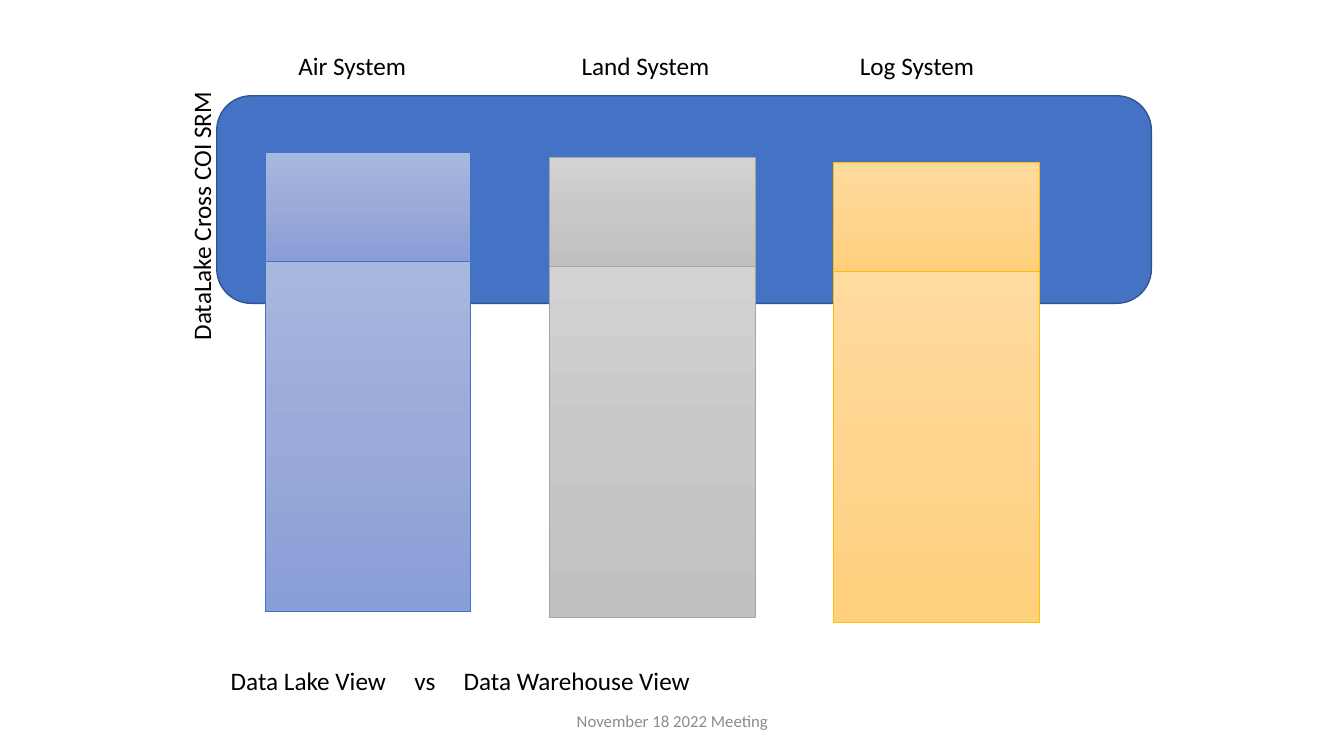
from copy import deepcopy

from lxml import etree
from pptx import Presentation
from pptx.dml.color import RGBColor
from pptx.enum.shapes import MSO_SHAPE
from pptx.enum.text import MSO_ANCHOR, MSO_AUTO_SIZE, PP_ALIGN
from pptx.oxml.ns import qn
from pptx.util import Inches, Pt

ROUNDED, RECTANGLE = MSO_SHAPE.ROUNDED_RECTANGLE, MSO_SHAPE.RECTANGLE
CENTER, MIDDLE, FIT = PP_ALIGN.CENTER, MSO_ANCHOR.MIDDLE, MSO_AUTO_SIZE.SHAPE_TO_FIT_TEXT

COLORS = {
    "lake": "4472C4", "lake_edge": "325491",
    "text": "000000", "footer": "8C8C8C",
    "air": "4472C4", "land": "A5A5A5", "log": "FFC000",
}
GRADIENTS = {
    "air": ("A8B7DF", "9AABD9", "889ED7"),
    "land": ("D2D2D2", "C8C8C8", "C0C0C0"),
    "log": ("FFDB9E", "FFD590", "FFD07C"),
}
# Key, caption, caption left and caption width
SYSTEMS = [
    ("air", "Air System", 2.86, 1.28),
    ("land", "Land System", 5.67, 1.48),
    ("log", "Log System", 8.43, 1.35),
]
BAR_WIDTH, BAR_HEIGHTS = 2.04, (1.08, 3.48)
STEP_X, STEP_Y = 2.82, 0.05


def add_block(shapes, kind, box, edge, edge_width):
    block = shapes.add_shape(kind, *map(Inches, box))
    block.shadow.inherit = False
    block.line.color.rgb = RGBColor.from_string(edge)
    block.line.width = Pt(edge_width)
    return block


def add_label(slide, text, box, size=18, color="text"):
    label = slide.shapes.add_textbox(*map(Inches, box))
    label.text_frame.word_wrap = False
    label.text_frame.auto_size = FIT
    run = label.text_frame.paragraphs[0].add_run()
    run.text = text
    font_format = {"name": "Calibri", "size": Pt(size)}
    for attribute, value in font_format.items():
        setattr(run.font, attribute, value)
    run.font.color.rgb = RGBColor.from_string(COLORS[color])
    return label


def fill_gradient(block, hues):
    block.fill.gradient()
    block.fill.gradient_angle = 270
    stop_list = block._element.spPr.find(".//" + qn("a:gsLst"))
    stop_list.insert(1, deepcopy(stop_list[0]))
    for i, (stop, hue) in enumerate(zip(block.fill.gradient_stops, hues)):
        stop.position = i / (len(hues) - 1)
        stop.color.rgb = RGBColor.from_string(hue)


def draw_lake(slide, box):
    lake = add_block(slide.shapes, ROUNDED, box, COLORS["lake_edge"], 1)
    lake.fill.solid()
    lake.fill.fore_color.rgb = RGBColor.from_string(COLORS["lake"])


def draw_system(slide, left, top, key):
    bars = slide.shapes.add_group_shape()
    for height in BAR_HEIGHTS:
        bar = add_block(bars.shapes, RECTANGLE, (left, top, BAR_WIDTH, height), COLORS[key], 0.5)
        fill_gradient(bar, GRADIENTS[key])
        top += height


def draw_comparison(slide, box, tab_positions):
    comparison = add_label(slide, "Data Lake View\tvs\tData Warehouse View", box)
    comparison.text_frame.word_wrap = True
    # Tab stops space the three parts
    properties = comparison.text_frame.paragraphs[0]._p.get_or_add_pPr()
    tabs = etree.SubElement(properties, qn("a:tabLst"))
    for position in tab_positions:
        etree.SubElement(tabs, qn("a:tab"), pos=str(Inches(position)), algn="l")


def draw_footer(slide, box):
    footer = add_label(slide, "November 18 2022 Meeting", box, 12, "footer")
    frame_format = {"word_wrap": True, "auto_size": MSO_AUTO_SIZE.NONE, "vertical_anchor": MIDDLE}
    for attribute, value in frame_format.items():
        setattr(footer.text_frame, attribute, value)
    footer.text_frame.paragraphs[0].alignment = CENTER


def main():
    deck = Presentation()
    deck.slide_width, deck.slide_height = Inches(13.33), Inches(7.5)
    slide = deck.slides.add_slide(deck.slide_layouts[6])

    # Data lake behind the systems
    draw_lake(slide, (2.15, 0.95, 9.27, 2.06))

    # Systems with captions
    for i, (key, caption, caption_left, caption_width) in enumerate(SYSTEMS):
        draw_system(slide, 2.63 + i * STEP_X, 1.51 + i * STEP_Y, key)
        add_label(slide, caption, (caption_left, 0.45, caption_width, 0.4))

    # Comparison, side caption and footer
    draw_comparison(slide, (2.19, 6.55, 4.82, 0.4), (1.82, 2.31))
    side_caption = add_label(slide, "DataLake Cross COI SRM", (0.65, 1.93, 2.69, 0.4))
    side_caption.rotation = 270
    draw_footer(slide, (4.42, 6.95, 4.5, 0.4))

    deck.save("out.pptx")


if __name__ == "__main__":
    main()
